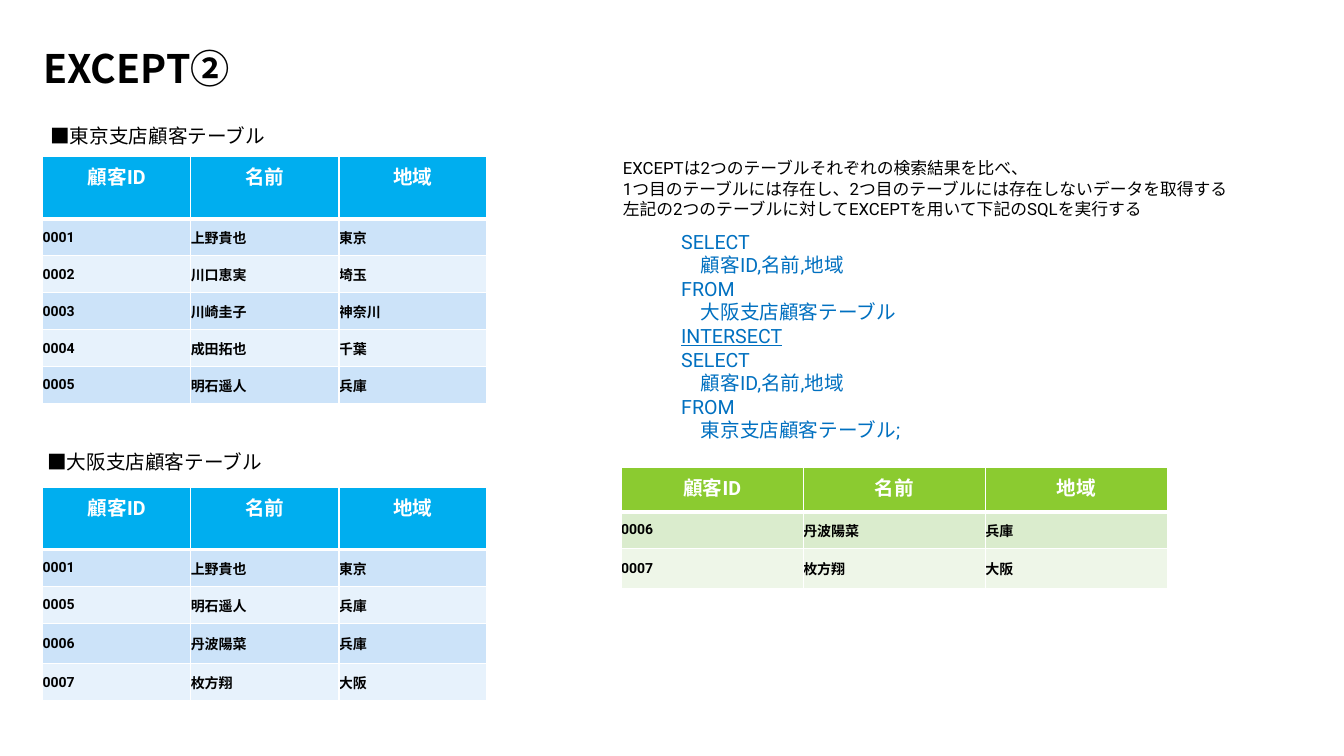
import pptx
import pptx.dml.color
import pptx.enum.text
import pptx.oxml
import pptx.oxml.ns
import pptx.util

Pt = pptx.util.Pt
RGBColor = pptx.dml.color.RGBColor
ANCHOR = pptx.enum.text.MSO_ANCHOR
ALIGN = pptx.enum.text.PP_ALIGN

BLACK = RGBColor(0x00, 0x00, 0x00)
WHITE = RGBColor(0xFF, 0xFF, 0xFF)
SQL_BLUE = RGBColor(0x00, 0x70, 0xC0)
BLUE_HEADER = RGBColor(0x00, 0xAE, 0xEF)
BLUE_BANDS = (RGBColor(0xCC, 0xE3, 0xF9), RGBColor(0xE7, 0xF2, 0xFC))
GREEN_HEADER = RGBColor(0x8B, 0xCB, 0x30)
GREEN_BANDS = (RGBColor(0xDA, 0xEC, 0xCD), RGBColor(0xEE, 0xF6, 0xE8))
LATIN = "Roboto"
JAPANESE = "Noto Sans CJK JP"

deck = pptx.Presentation()
deck.slide_width = Pt(960)
deck.slide_height = Pt(540)
page = deck.slides.add_slide(deck.slide_layouts[6])


def add_text(left, top, width, height, lines, size, color, font=LATIN):
    box = page.shapes.add_textbox(Pt(left), Pt(top), Pt(width), Pt(height))
    frame = box.text_frame
    frame.word_wrap = True
    frame.text = "\n".join(lines)
    for para in frame.paragraphs:
        para.font.size = Pt(size)
        para.font.name = font
        para.font.color.rgb = color
    return frame


def add_borders(cell, top, bottom):
    properties = cell._tc.get_or_add_tcPr()
    widths = {"lnL": 1, "lnR": 1, "lnT": top, "lnB": bottom}
    for index, (side, width) in enumerate(widths.items()):
        border = pptx.oxml.parse_xml(
            f'<a:{side} {pptx.oxml.ns.nsdecls("a")} w="{Pt(width)}">'
            f'<a:solidFill><a:srgbClr val="{WHITE}"/></a:solidFill></a:{side}>'
        )
        properties.insert(index, border)


title = add_text(24, 32.4, 246, 36, ["EXCEPT②"], 28, BLACK, JAPANESE)
title.vertical_anchor = ANCHOR.BOTTOM
title.paragraphs[0].font.bold = True
title.paragraphs[0].line_spacing = 0.8

add_text(28.8, 85, 179.3, 24.2, ["■東京支店顧客テーブル"], 14, BLACK)
add_text(26.6, 317.5, 181.4, 24.2, ["■大阪支店顧客テーブル"], 14, BLACK)
add_text(437.8, 109.4, 491.8, 51, [
    "EXCEPTは2つのテーブルそれぞれの検索結果を比べ、",
    "1つ目のテーブルには存在し、2つ目のテーブルには存在しないデータを取得する",
    "左記の2つのテーブルに対してEXCEPTを用いて下記のSQLを実行する",
], 12, BLACK)

columns = "顧客ID,名前,地域"
query = add_text(479.5, 160.6, 216, 160, [
    "SELECT", columns, "FROM", "大阪支店顧客テーブル",
    "INTERSECT",
    "SELECT", columns, "FROM", "東京支店顧客テーブル;",
], 14, SQL_BLUE)
for para in query.paragraphs:
    if para.text == "INTERSECT":
        para.font.underline = True
    elif para.text not in ("SELECT", "FROM"):
        para._p.get_or_add_pPr().set("marL", str(Pt(14)))

header = ("顧客ID", "名前", "地域")
ueno = ("0001", "上野貴也", "東京")
akashi = ("0005", "明石遥人", "兵庫")
osaka_only = [("0006", "丹波陽菜", "兵庫"), ("0007", "枚方翔", "大阪")]
tokyo = [
    ueno,
    ("0002", "川口恵実", "埼玉"),
    ("0003", "川崎圭子", "神奈川"),
    ("0004", "成田拓也", "千葉"),
    akashi,
]
tables = [
    (30.5, 111.8, 105.8, [44.6] + [26.4] * 5, tokyo, BLUE_HEADER, BLUE_BANDS),
    (30.5, 348, 105.8, [44.6, 26.4, 26.4, 28.8, 26.4],
     [ueno, akashi] + osaka_only, BLUE_HEADER, BLUE_BANDS),
    (443.7, 334, 130.1, [31.5, 26.4, 28.8], osaka_only, GREEN_HEADER, GREEN_BANDS),
]
for left, top, column_width, heights, customers, header_fill, bands in tables:
    table = page.shapes.add_table(
        len(heights), 3, Pt(left), Pt(top), Pt(3 * column_width), Pt(sum(heights))
    ).table
    for column in table.columns:
        column.width = Pt(column_width)
    for row_index, values in enumerate([header] + customers):
        table.rows[row_index].height = Pt(heights[row_index])
        for column_index, value in enumerate(values):
            cell = table.cell(row_index, column_index)
            cell.text = value
            para = cell.text_frame.paragraphs[0]
            para.font.bold = True
            para.font.name = LATIN
            cell.fill.solid()
            if row_index == 0:
                cell.fill.fore_color.rgb = header_fill
                para.alignment = ALIGN.CENTER
                para.font.size = Pt(14)
                para.font.color.rgb = WHITE
            else:
                cell.fill.fore_color.rgb = bands[(row_index - 1) % 2]
                cell.vertical_anchor = ANCHOR.MIDDLE
                cell.margin_left = cell.margin_right = 0
                cell.margin_top = cell.margin_bottom = 0
                para.font.size = Pt(10)
                para.font.color.rgb = BLACK
                if column_index > 0:
                    para.font.name = JAPANESE
            add_borders(cell, 3 if row_index == 1 else 1, 3 if row_index == 0 else 1)

deck.save("out.pptx")
